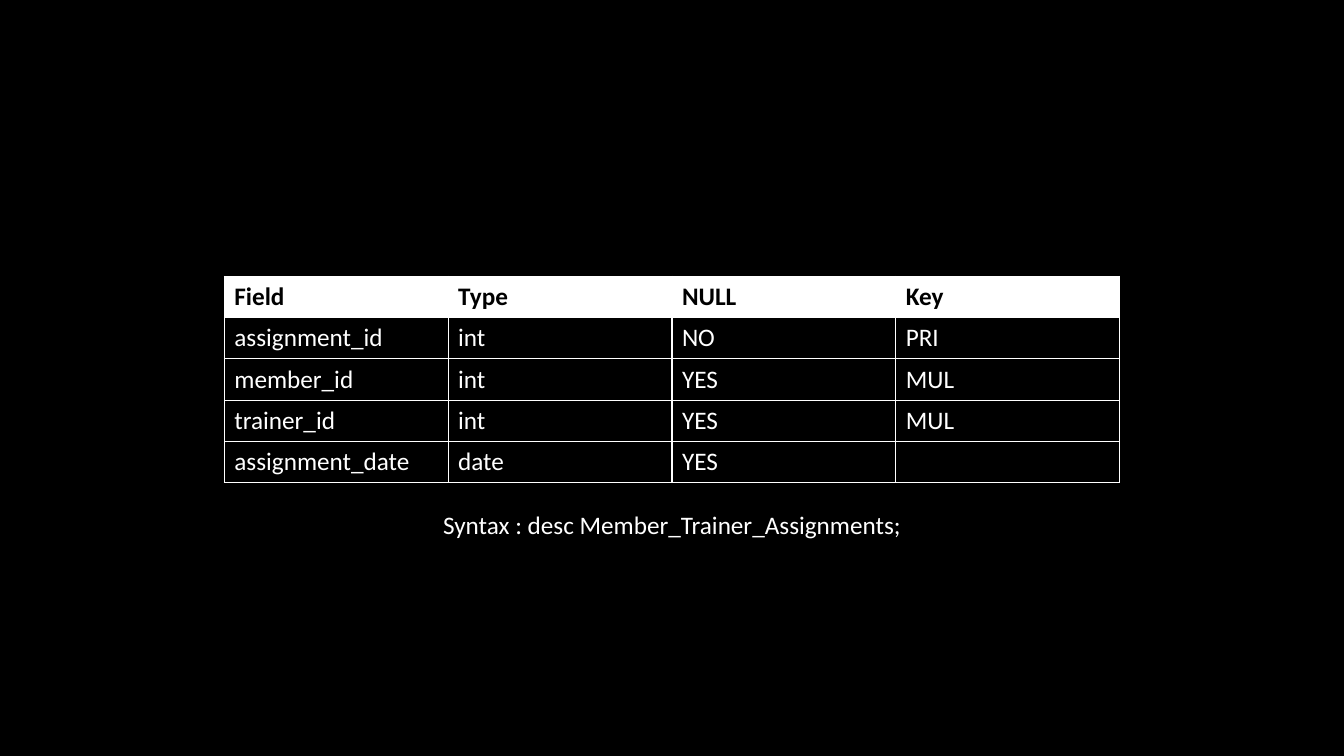
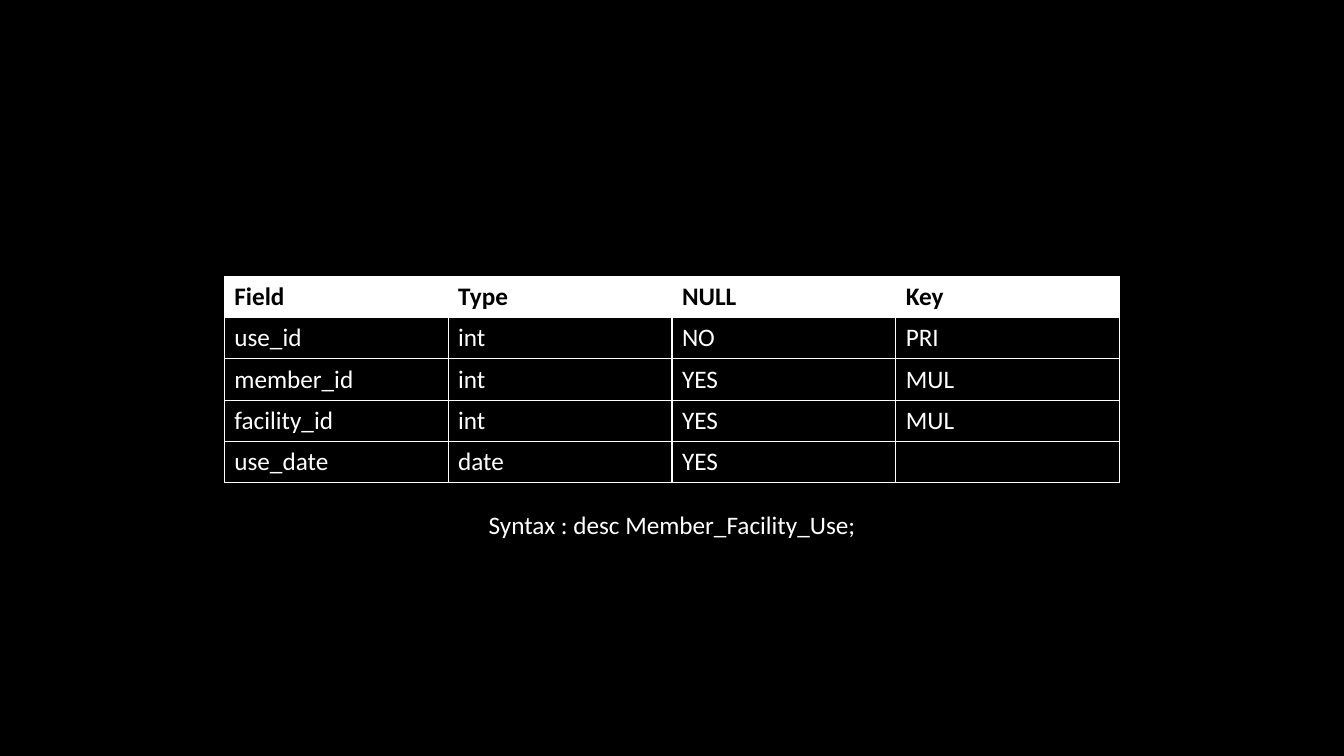
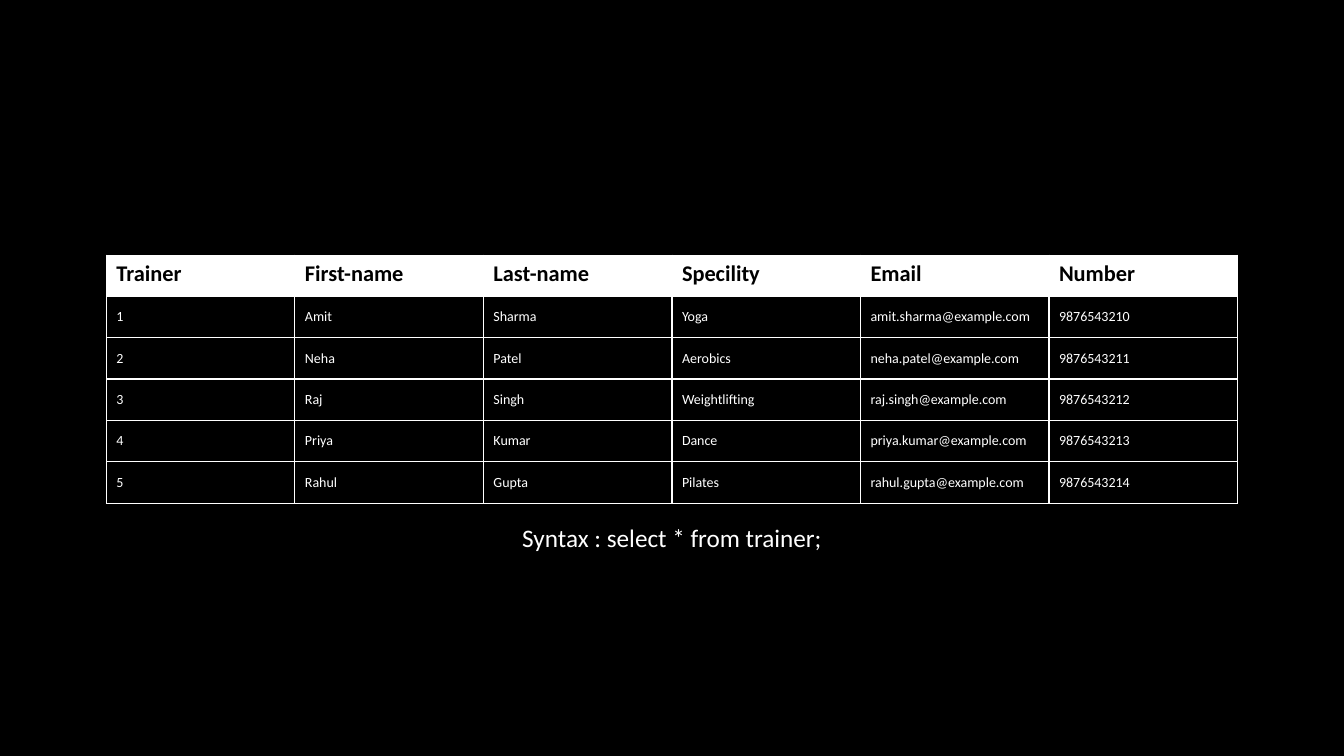
from lxml import etree
from pptx import Presentation
from pptx import util as u
from pptx.dml import color
from pptx.enum import text
from pptx.oxml import ns

HUES = {"ink": "000000", "paper": "FFFFFF"}
FONT = "Calibri"
WIDE, HIGH = 13.33, 7.5
ROW = 0.41
THIN, THICK = 0.5, 1
HEAD = ["Field", "Type", "NULL", "Key"]


class Deck:
    def __init__(self):
        self.prs = Presentation()
        self.prs.slide_width = u.Inches(WIDE)
        self.prs.slide_height = u.Inches(HIGH)
        self.page = None

    def hue(self, name):
        return color.RGBColor.from_string(HUES[name])

    def paint(self, fill, name):
        fill.solid()
        fill.fore_color.rgb = self.hue(name)

    def slide(self):
        self.page = self.prs.slides.add_slide(self.prs.slide_layouts[6])
        self.paint(self.page.background.fill, "ink")

    def style(self, para, size, name, bold=False):
        for run in para.runs:
            run.font.name = FONT
            run.font.size = u.Pt(size)
            run.font.bold = bold
            run.font.color.rgb = self.hue(name)

    def edge(self, cell, side, width):
        props = cell._tc.get_or_add_tcPr()
        line = etree.SubElement(props, ns.qn("a:ln" + side), w=str(u.Pt(width)))
        fill = etree.SubElement(line, ns.qn("a:solidFill"))
        etree.SubElement(fill, ns.qn("a:srgbClr"), val=HUES["paper"])

    def table(self, rows, top, col, sizes, base=THICK):
        many, wide = len(rows), len(rows[0])
        left = (WIDE - col * wide) / 2
        grid = self.page.shapes.add_table(
            many, wide, u.Inches(left), u.Inches(top),
            u.Inches(col * wide), u.Inches(ROW * many)).table
        grid.first_row = grid.horz_banding = False
        for i, row in enumerate(rows):
            head = i == 0
            for j, word in enumerate(row):
                cell = grid.cell(i, j)
                cell.text_frame.text = word
                self.style(cell.text_frame.paragraphs[0],
                           sizes[0] if head else sizes[1],
                           "ink" if head else "paper", head)
                if not head:
                    cell.vertical_anchor = text.MSO_ANCHOR.MIDDLE
                self.edge(cell, "L", THIN if j == 0 else THICK)
                self.edge(cell, "R", THIN if j == wide - 1 else THICK)
                self.edge(cell, "T", THIN if head else THICK)
                self.edge(cell, "B", base if i == many - 1 else THICK)
                self.paint(cell.fill, "paper" if head else "ink")

    def query(self, code, top, width):
        box = self.page.shapes.add_textbox(
            u.Inches((WIDE - width) / 2), u.Inches(top),
            u.Inches(width), u.Inches(0.4))
        frame = box.text_frame
        frame.word_wrap = True
        frame.auto_size = text.MSO_AUTO_SIZE.SHAPE_TO_FIT_TEXT
        frame.text = "Syntax : " + code
        para = frame.paragraphs[0]
        para.alignment = text.PP_ALIGN.CENTER
        self.style(para, 18, "paper")

    def schema(self, name, key, link, date):
        self.slide()
        rows = [
            HEAD,
            [key, "int", "NO", "PRI"],
            ["member_id", "int", "YES", "MUL"],
            [link, "int", "YES", "MUL"],
            [date, "date", "YES", ""],
        ]
        self.table(rows, 2.74, 2.22, (18, 18))
        self.query(f"desc {name};", 5, 6.18)


def main():
    deck = Deck()
    deck.schema("Member_Trainer_Assignments",
                "assignment_id", "trainer_id", "assignment_date")
    deck.schema("Member_Facility_Use", "use_id", "facility_id", "use_date")

    deck.slide()
    staff = [
        ["Trainer", "First-name", "Last-name", "Specility", "Email", "Number"],
        ["1", "Amit", "Sharma", "Yoga", "amit.sharma@example.com", "9876543210"],
        ["2", "Neha", "Patel", "Aerobics", "neha.patel@example.com", "9876543211"],
        ["3", "Raj", "Singh", "Weightlifting", "raj.singh@example.com", "9876543212"],
        ["4", "Priya", "Kumar", "Dance", "priya.kumar@example.com", "9876543213"],
        ["5", "Rahul", "Gupta", "Pilates", "rahul.gupta@example.com", "9876543214"],
    ]
    deck.table(staff, 2.53, 1.87, (16, 10), THIN)
    deck.query("select * from trainer;", 5.13, 6.73)

    deck.prs.save("out.pptx")


if __name__ == "__main__":
    main()
